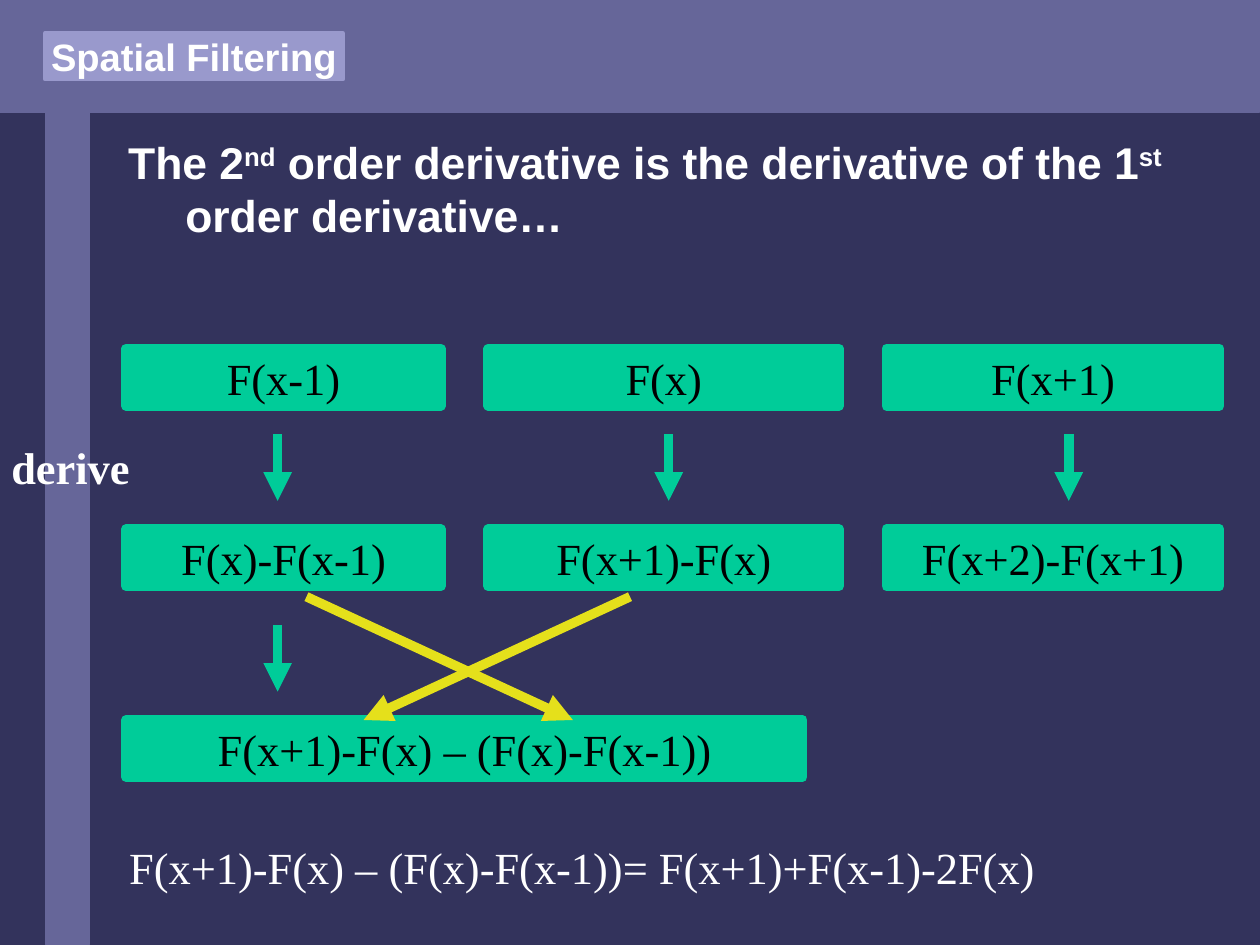
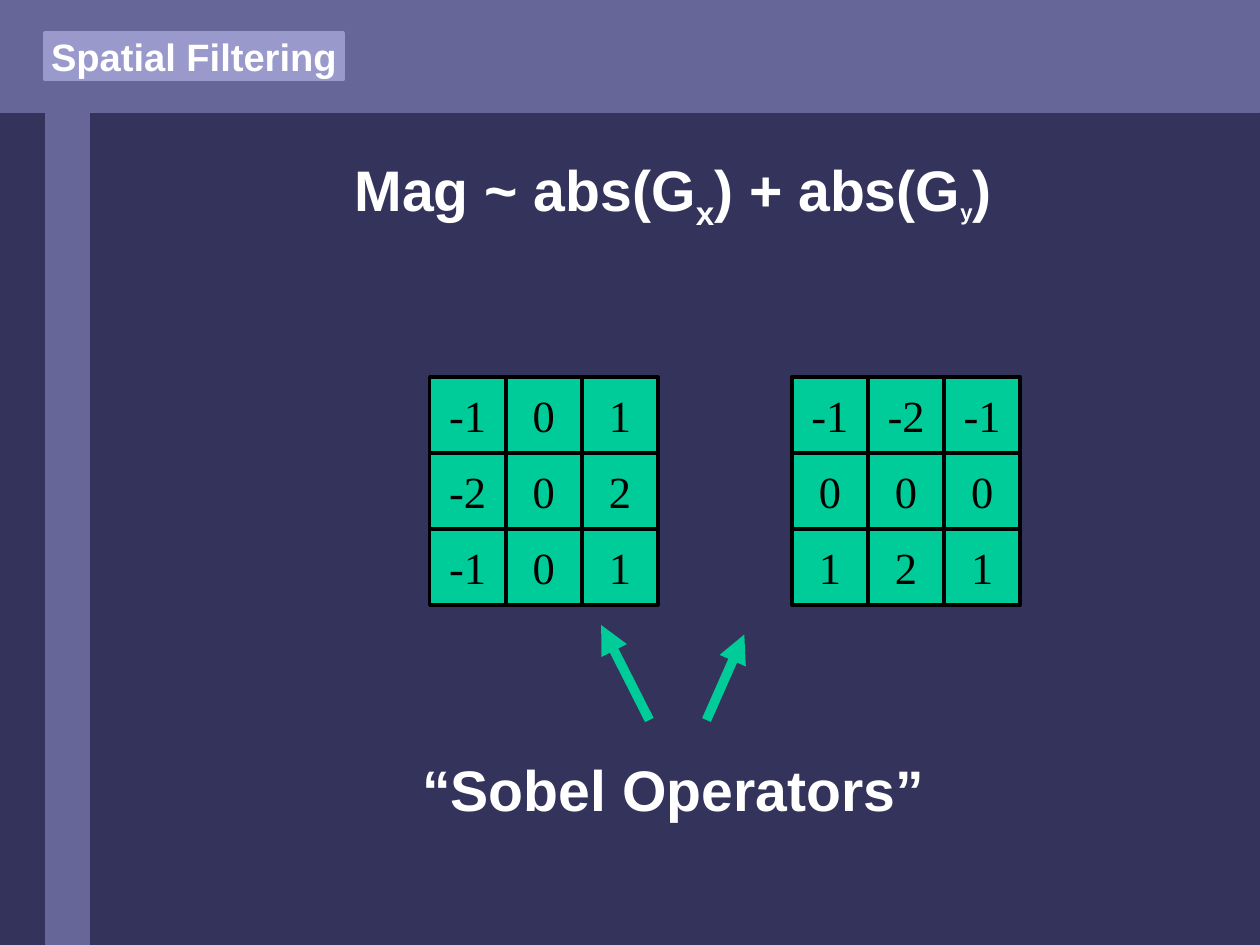
from lxml import etree
from pptx import Presentation
from pptx.dml.color import RGBColor
from pptx.enum.shapes import MSO_CONNECTOR, MSO_SHAPE
from pptx.enum.text import MSO_ANCHOR, MSO_AUTO_SIZE, PP_ALIGN
from pptx.oxml.ns import qn
from pptx.util import Cm, Pt

RECT = MSO_SHAPE.RECTANGLE
LINE = MSO_CONNECTOR.STRAIGHT
MID, TOP = MSO_ANCHOR.MIDDLE, MSO_ANCHOR.TOP
LEFT, CENTER = PP_ALIGN.LEFT, PP_ALIGN.CENTER
FIXED = MSO_AUTO_SIZE.NONE

# Shared look (lengths in cm, text and lines in points)
WIDE, HIGH = 28, 21
NAVY, SLATE, LILAC = "33335C", "666699", "9999CC"
GREEN, GOLD, WHITE, BLACK = "00CC99", "E5E01B", "FFFFFF", "000000"
TITLE = "Spatial Filtering"
TAG = (1, 0.74, 6.62, 1.02)
BANDS = [(0, 0, WIDE, 2.49), (1.01, 1.96, 0.98, HIGH - 1.96)]
HEAD = {"name": "Arial", "size": 28, "bold": True, "color": WHITE}
BIG = {**HEAD, "size": 36}
SMALL = {**HEAD, "size": 24}
MATH = {"name": "Times New Roman", "size": 28, "bold": False, "color": BLACK}
PLAIN = {**MATH, "color": WHITE}
LABEL = {**PLAIN, "bold": True}

# Derivative slide: runs are (text, format, baseline in percent)
ORDER = [("The 2", HEAD, 0), ("nd", HEAD, 30),
         (" order derivative is the derivative of the 1", HEAD, 0),
         ("st", HEAD, 30), (" order derivative…", HEAD, 0)]
ROWS = [(7.75, ["F(x-1)", "F(x)", "F(x+1)"]),
        (11.76, ["F(x)-F(x-1)", "F(x+1)-F(x)", "F(x+2)-F(x+1)"])]
COLS = [7, 7.8, 7.4]
EDGE, GAP, TALL = 2.8, 1.05, 1.27
DIFF = "F(x+1)-F(x) – (F(x)-F(x-1))"
SUM = DIFF + "= F(x+1)+F(x-1)-2F(x)"
DROP = 1.48
DOWN = [(6.17, 9.65), (14.86, 9.65), (23.75, 9.65), (6.17, 13.89)]
CROSS = [(14, 13.26, 8.08, 16), (6.81, 13.26, 12.73, 16)]

# Sobel slide
MAG = [("Mag ~ abs(G", BIG, 0), ("x", BIG, -25), (") + abs(G", BIG, 0),
       ("y", SMALL, -25), (")", BIG, 0)]
SOBEL = [("“Sobel Operators”", BIG, 0)]
CELL, GRID_TOP = 1.69, 8.38
GRIDS = [(9.55, [(-1, 0, 1), (-2, 0, 2), (-1, 0, 1)]),
         (17.6, [(-1, -2, -1), (0, 0, 0), (1, 2, 1)])]
POINT = [(14.43, 16, 13.36, 13.89), (15.7, 16, 16.54, 14.1)]


def rgb(code):
    return RGBColor.from_string(code)


def paint(shape, fill, edge, width):
    shape.fill.solid()
    shape.fill.fore_color.rgb = rgb(fill)
    shape.line.color.rgb = rgb(edge)
    shape.line.width = Pt(width)


def write(shape, runs, align=CENTER, anchor=MID, wrap=False,
          pad=(0.25, 0.13), hang=0):
    frame = shape.text_frame
    form = {"auto_size": FIXED, "word_wrap": wrap, "vertical_anchor": anchor,
            "margin_left": Cm(pad[0]), "margin_right": Cm(pad[0]),
            "margin_top": Cm(pad[1]), "margin_bottom": Cm(pad[1])}
    for key, val in form.items():
        setattr(frame, key, val)
    para = frame.paragraphs[0]
    para.alignment = align
    if hang:
        props = para._p.get_or_add_pPr()
        props.set("marL", str(Cm(hang)))
        props.set("indent", str(-Cm(hang)))
    for text, style, base in runs:
        run = para.add_run()
        run.text = text
        look = {**style, "size": Pt(style["size"])}
        run.font.color.rgb = rgb(look.pop("color"))
        for key, val in look.items():
            setattr(run.font, key, val)
        if base:
            run._r.get_or_add_rPr().set("baseline", str(base * 1000))


def block(slide, place, fill, edge, width):
    shape = slide.shapes.add_shape(RECT, *map(Cm, place))
    shape.shadow.inherit = False
    paint(shape, fill, edge, width)
    return shape


def box(slide, place, text, edge=GREEN, width=6):
    write(block(slide, place, GREEN, edge, width), [(text, MATH, 0)])


def note(slide, place, runs, **form):
    form = {"anchor": TOP, **form}
    write(slide.shapes.add_textbox(*map(Cm, place)), runs, **form)


def arrow(slide, ends, color=GREEN):
    line = slide.shapes.add_connector(LINE, *map(Cm, ends))
    line.line.color.rgb = rgb(color)
    line.line.width = Pt(6)
    etree.SubElement(line.line._get_or_add_ln(), qn("a:tailEnd"),
                     type="triangle")
    etree.SubElement(line._element.spPr, qn("a:effectLst"))


def dress(layout, slide):
    """Move the shared bands from a slide to the back of its layout."""
    layout.background.fill.solid()
    layout.background.fill.fore_color.rgb = rgb(NAVY)
    for num, place in enumerate(BANDS):
        band = block(slide, place, SLATE, SLATE, 0.75)
        band.name = f"Band {num + 1}"
        band._element.nvSpPr.cNvPr.set("id", str(100 + num))
        layout.shapes._spTree.insert(2 + num, band._element)


def start(deck, layout):
    slide = deck.slides.add_slide(layout)
    title = slide.shapes.title
    title.left, title.top, title.width, title.height = map(Cm, TAG)
    paint(title, LILAC, LILAC, 2.83)
    write(title, [(TITLE, SMALL, 0)], pad=(0, 0))
    return slide


def derive(slide):
    note(slide, (2.6, 2.87, 25.4, 1.78), ORDER, align=LEFT, wrap=True,
         hang=1.27)
    # Two rows of boxes
    for top, texts in ROWS:
        left = EDGE
        for text, width in zip(texts, COLS):
            box(slide, (left, top, width, TALL), text)
            left += width + GAP
    box(slide, (EDGE, 16, 15.04, TALL), DIFF)
    note(slide, (0, 9.65, 3.13, 1.45), [("derive", LABEL, 0)])
    # Arrows
    for x, y in DOWN:
        arrow(slide, (x, y, x, y + DROP))
    for ends in CROSS:
        arrow(slide, ends, GOLD)
    note(slide, (2.62, 18.54, 20.62, 1.45), [(SUM, PLAIN, 0)])


def sobel(slide):
    for top, runs in ((3.3, MAG), (16.64, SOBEL)):
        note(slide, (2.36, top, 25.2, 1.78), runs, wrap=True)
    # Kernels
    for left, rows in GRIDS:
        for r, row in enumerate(rows):
            for c, val in enumerate(row):
                place = (left + c * CELL, GRID_TOP + r * CELL, CELL, CELL)
                box(slide, place, str(val), BLACK, 2.25)
    for ends in POINT:
        arrow(slide, ends)


def main():
    deck = Presentation()
    deck.slide_width, deck.slide_height = Cm(WIDE), Cm(HIGH)
    layout = deck.slide_layouts[5]
    first, second = start(deck, layout), start(deck, layout)
    dress(layout, first)
    derive(first)
    sobel(second)
    deck.save("out.pptx")


if __name__ == "__main__":
    main()
